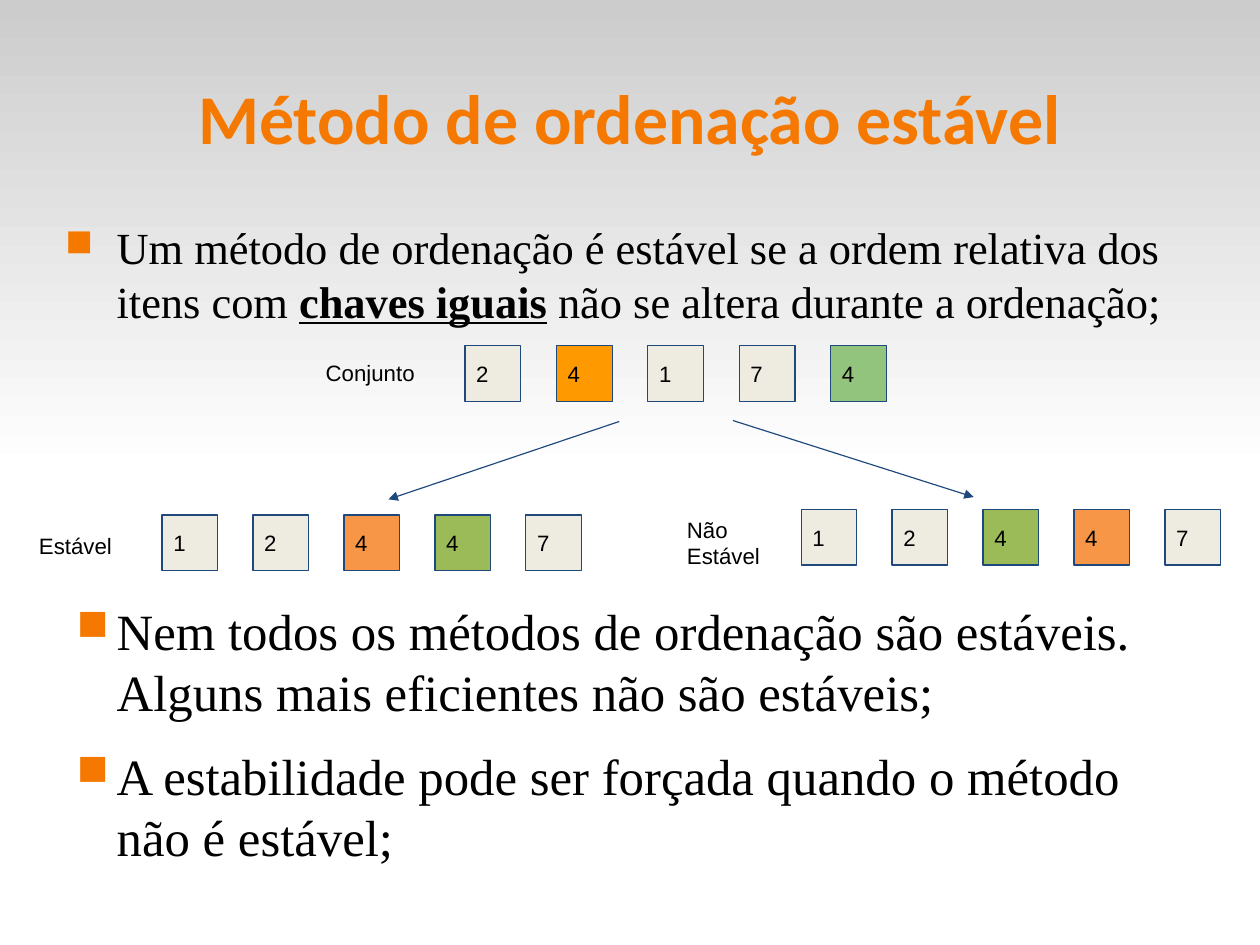
from lxml import etree
from pptx import Presentation
from pptx import util as u
from pptx.dml.color import RGBColor
from pptx.enum import shapes, text
from pptx.oxml.ns import qn

WIDTH, HEIGHT = u.Cm(28), u.Cm(21)
COLUMN, ROW = WIDTH / 100, HEIGHT / 100
ORANGE, NAVY, BLACK = "F57900", "1F497D", "000000"
SAND, AMBER, MINT, CORAL, GREEN = "EEECE1", "FF9900", "93C47D", "F79646", "9BBB59"
TITLE = {"name": "Calibri", "size": u.Pt(44), "bold": True}
LABEL = {"name": "Arial", "size": u.Pt(14)}
BODY = {"name": "Times New Roman"}
EMPHASIS = {"bold": True, "underline": True}


def color(value):
    """Return the colour of a hex string."""
    return RGBColor.from_string(value)


def place(box):
    """Turn columns and rows of the grid into slide lengths."""
    return [round(length * unit) for length, unit in zip(box, (COLUMN, ROW) * 2)]


def style(target, formats):
    """Set each attribute of a dict of format values."""
    for name, value in formats.items():
        setattr(target, name, value)


def add_run(paragraph, words, formats, hex_color=BLACK):
    """Add a formatted run to a paragraph."""
    run = paragraph.add_run()
    run.text = words
    style(run.font, formats)
    run.font.color.rgb = color(hex_color)


def set_frame(shape, inset, anchor):
    """Set wrapping, margins and anchor, and return the text frame."""
    frame = shape.text_frame
    sides = ("margin_left", "margin_top", "margin_right", "margin_bottom")
    style(frame, {"word_wrap": True, "vertical_anchor": anchor,
                  **dict.fromkeys(sides, u.Inches(inset))})
    return frame


def add_backdrop(slide, box):
    """Draw the grey fade behind the upper half."""
    shape = slide.shapes.add_shape(shapes.MSO_SHAPE.RECTANGLE, *place(box))
    shape.shadow.inherit = False
    shape.line.fill.background()
    shape.fill.gradient()
    shape.fill.gradient_angle = 270
    for stop, position, shade in zip(shape.fill.gradient_stops, (0, 1), ("CCCCCC", "FFFFFF")):
        stop.position = position
        stop.color.rgb = color(shade)


def add_title(slide, box, words):
    """Place the centred title."""
    frame = set_frame(slide.shapes.add_textbox(*place(box)), 0, text.MSO_ANCHOR.MIDDLE)
    frame.paragraphs[0].alignment = text.PP_ALIGN.CENTER
    add_run(frame.paragraphs[0], words, TITLE, ORANGE)


def add_bullets(slide, box, size, hanging, items):
    """Place square-bulleted paragraphs, each a list of words and formats."""
    frame = set_frame(slide.shapes.add_textbox(*place(box)), 0, text.MSO_ANCHOR.TOP)
    for index, runs in enumerate(items):
        paragraph = frame.add_paragraph() if index else frame.paragraphs[0]
        properties = paragraph._p.get_or_add_pPr()
        properties.set("marL", str(u.Inches(0.47)))
        properties.set("indent", str(-u.Inches(hanging)))
        bullet_color = etree.SubElement(properties, qn("a:buClr"))
        etree.SubElement(bullet_color, qn("a:srgbClr"), val=ORANGE)
        etree.SubElement(properties, qn("a:buSzPct"), val="85000")
        etree.SubElement(properties, qn("a:buChar"), char="■")
        if index:
            paragraph.space_before = u.Pt(14.2)
        for words, formats in runs:
            add_run(paragraph, words, {**BODY, "size": u.Pt(size), **formats})


def add_label(slide, box, words):
    """Place the name of a sequence."""
    frame = set_frame(slide.shapes.add_textbox(*place(box)), 0.1, text.MSO_ANCHOR.TOP)
    add_run(frame.paragraphs[0], words, LABEL)


def add_sequence(slide, box, items):
    """Spread square keys evenly over the box."""
    left, top, width, side = place(box)
    pitch = (width - side) / (len(items) - 1)
    for index, (key, fill) in enumerate(items):
        shape = slide.shapes.add_shape(shapes.MSO_SHAPE.RECTANGLE,
                                       round(left + index * pitch), top, side, side)
        shape.shadow.inherit = False
        shape.fill.solid()
        shape.fill.fore_color.rgb = color(fill)
        shape.line.color.rgb = color(NAVY)
        shape.line.width = u.Pt(0.75)
        frame = set_frame(shape, 0.1, text.MSO_ANCHOR.MIDDLE)
        frame.paragraphs[0].alignment = text.PP_ALIGN.LEFT
        add_run(frame.paragraphs[0], str(key), LABEL)


def add_arrow(slide, ends):
    """Draw an arrow between two grid points."""
    arrow = slide.shapes.add_connector(shapes.MSO_CONNECTOR.STRAIGHT, *place(ends))
    arrow.line.color.rgb = color(NAVY)
    arrow.line.width = u.Pt(0.75)
    etree.SubElement(arrow.line._get_or_add_ln(), qn("a:tailEnd"), type="triangle")
    etree.SubElement(arrow._element.spPr, qn("a:effectLst"))


def main():
    """Build and save the slide."""
    presentation = Presentation()
    presentation.slide_width = WIDTH
    presentation.slide_height = HEIGHT
    slide = presentation.slides.add_slide(presentation.slide_layouts[6])
    add_backdrop(slide, (0, 0, 100, 50))
    add_title(slide, (5, 3.7, 90, 17.3), "Método de ordenação estável")
    add_bullets(slide, (5, 23.34, 90, 12), 28, 0.45, [[
        ("Um método de ordenação é estável se a ordem relativa dos itens com ", {}),
        ("chaves iguais", EMPHASIS),
        (" não se altera durante a ordenação;", {})]])
    add_bullets(slide, (5, 63.5, 90, 25), 32, 0.35, [
        [("Nem todos os métodos de ordenação são estáveis. "
          "Alguns mais eficientes não são estáveis;", {})],
        [("A estabilidade pode ser forçada quando o método não é estável;", {})]])
    sequences = [
        ("Conjunto", (24.95, 36.85, 9.62, 5.32), (36.9, 36.6, 33.45, 5.9),
         [(2, SAND), (4, AMBER), (1, SAND), (7, SAND), (4, MINT)]),
        ("Estável", (2.2, 55.1, 8.8, 5.32), (12.86, 54.5, 33.3, 5.9),
         [(1, SAND), (2, SAND), (4, CORAL), (4, GREEN), (7, SAND)]),
        ("Não Estável", (53.63, 53.4, 8.8, 8.1), (63.58, 53.9, 33.3, 5.9),
         [(1, SAND), (2, SAND), (4, GREEN), (4, CORAL), (7, SAND)]),
    ]
    for name, label_box, keys_box, items in sequences:
        add_label(slide, label_box, name)
        add_sequence(slide, keys_box, items)
    for ends in ((49.15, 44.6, 30.83, 52.84), (58.17, 44.5, 77.28, 52.6)):
        add_arrow(slide, ends)
    presentation.save("out.pptx")


if __name__ == "__main__":
    main()
